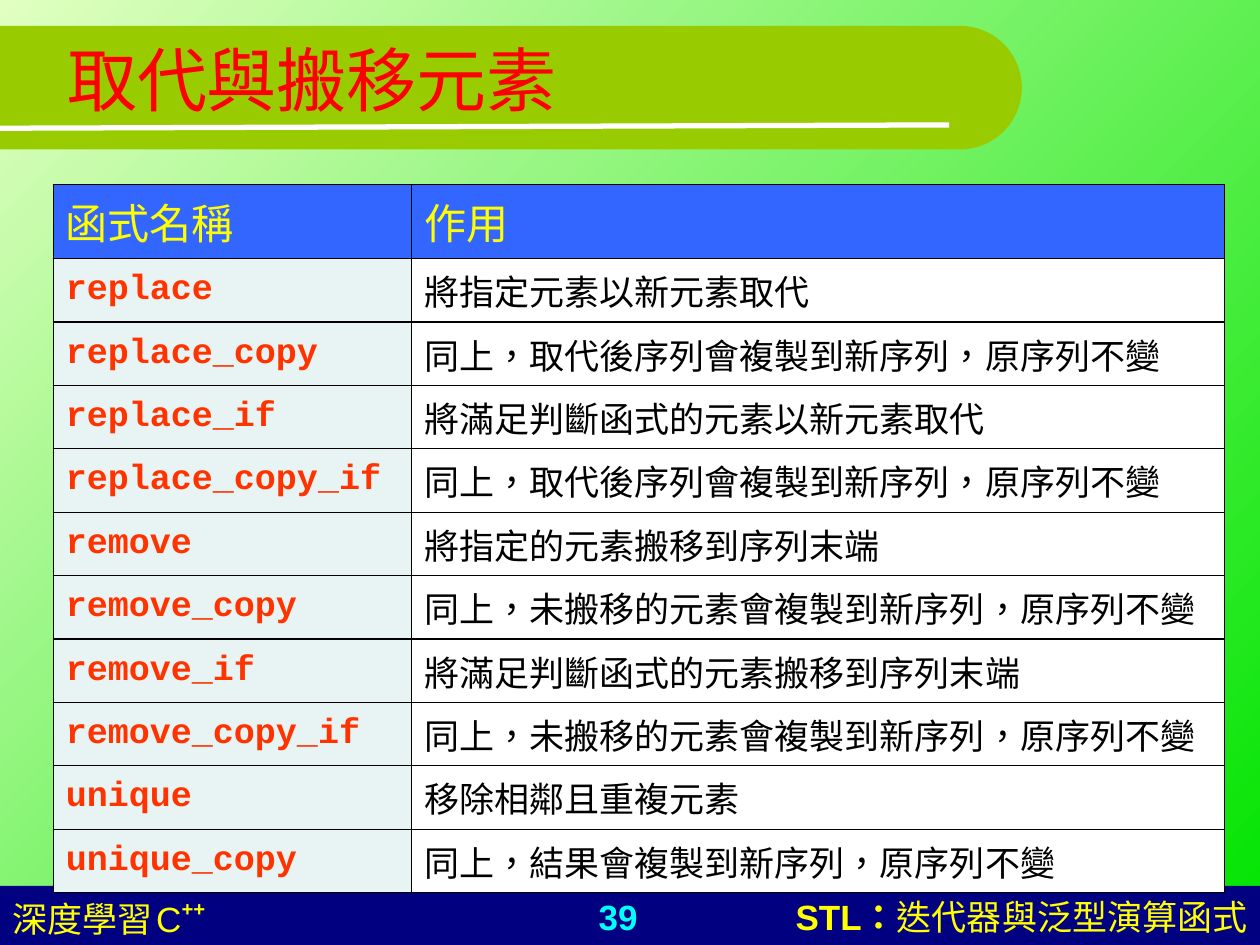
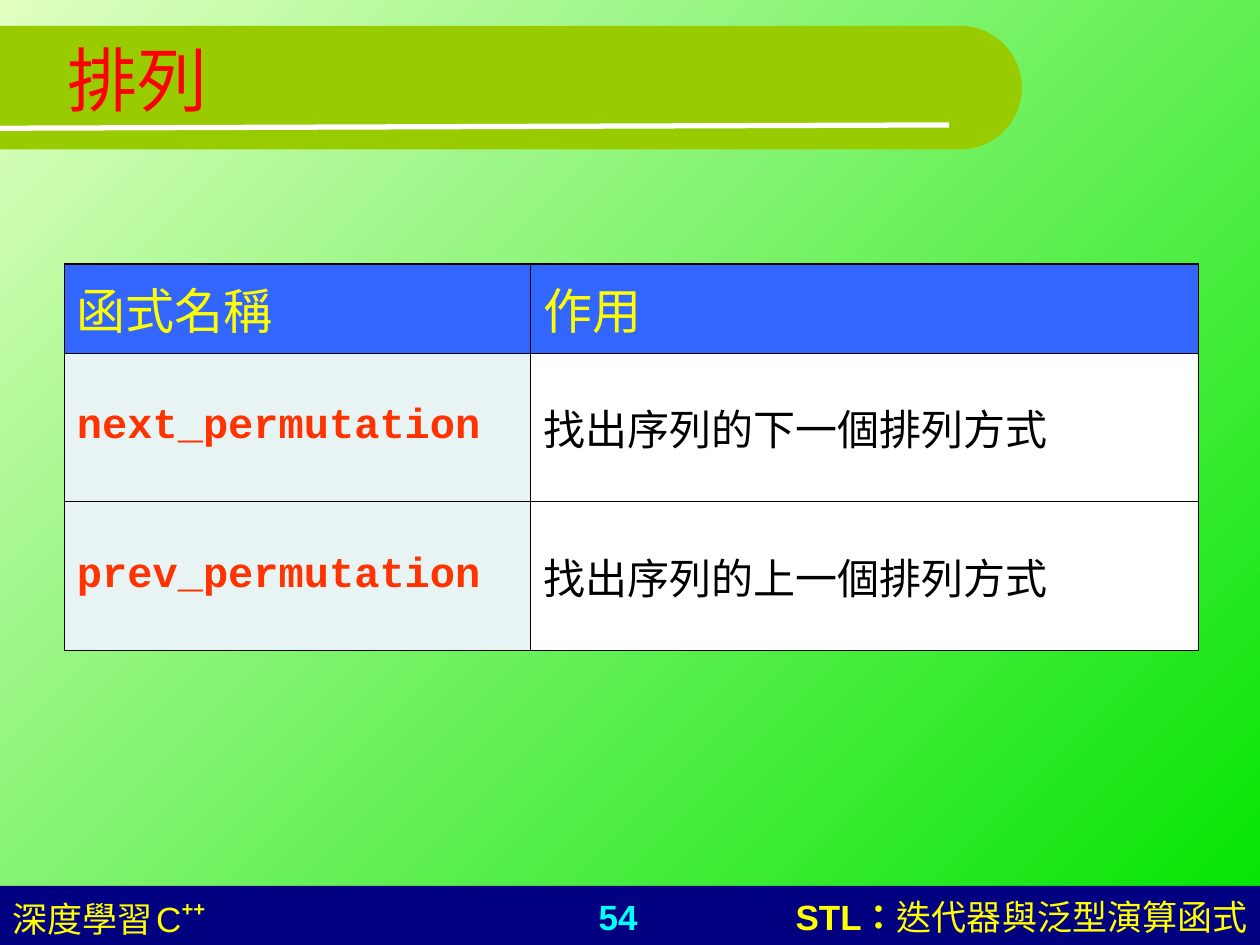
from math import cos, radians, sin

from lxml import etree
from pptx import Presentation
from pptx.dml.color import RGBColor
from pptx.enum.lang import MSO_LANGUAGE_ID
from pptx.enum.shapes import MSO_CONNECTOR, MSO_SHAPE
from pptx.enum.text import MSO_ANCHOR, PP_ALIGN
from pptx.oxml.ns import qn
from pptx.util import Pt

STRAIGHT = MSO_CONNECTOR.STRAIGHT
RECTANGLE = MSO_SHAPE.RECTANGLE
TOP, MIDDLE = MSO_ANCHOR.TOP, MSO_ANCHOR.MIDDLE
LEFT, CENTER, RIGHT = PP_ALIGN.LEFT, PP_ALIGN.CENTER, PP_ALIGN.RIGHT
CHINESE = MSO_LANGUAGE_ID.TRADITIONAL_CHINESE

PALE_GREEN = RGBColor(0xE0, 0xFF, 0xC1)
GREEN = RGBColor(0x00, 0xE4, 0x00)
OLIVE = RGBColor(0x99, 0xCC, 0x00)
NAVY = RGBColor(0x00, 0x00, 0x80)
BLUE = RGBColor(0x33, 0x66, 0xFF)
ICE = RGBColor(0xE8, 0xF4, 0xF4)
WHITE = RGBColor(0xFF, 0xFF, 0xFF)
BLACK = RGBColor(0x00, 0x00, 0x00)
RED = RGBColor(0xFF, 0x00, 0x00)
ORANGE = RGBColor(0xFF, 0x33, 0x00)
YELLOW = RGBColor(0xFF, 0xFF, 0x00)
CYAN = RGBColor(0x00, 0xFF, 0xFF)

TEXT_FONT = "Arial"
CODE_FONT = "Courier New"
PAGE_WIDTH, PAGE_HEIGHT = 720, 540
FOOTER_TOP = 506.2
FOOTER_TEXT_TOP, FOOTER_TEXT_HEIGHT = 508.4, 31.6

HEADINGS = ("函式名稱", "作用")
REPLACE_AND_MOVE = [
    ("replace", "將指定元素以新元素取代"),
    ("replace_copy", "同上，取代後序列會複製到新序列，原序列不變"),
    ("replace_if", "將滿足判斷函式的元素以新元素取代"),
    ("replace_copy_if", "同上，取代後序列會複製到新序列，原序列不變"),
    ("remove", "將指定的元素搬移到序列末端"),
    ("remove_copy", "同上，未搬移的元素會複製到新序列，原序列不變"),
    ("remove_if", "將滿足判斷函式的元素搬移到序列末端"),
    ("remove_copy_if", "同上，未搬移的元素會複製到新序列，原序列不變"),
    ("unique", "移除相鄰且重複元素"),
    ("unique_copy", "同上，結果會複製到新序列，原序列不變"),
]
PERMUTATIONS = [
    ("next_permutation", "找出序列的下一個排列方式"),
    ("prev_permutation", "找出序列的上一個排列方式"),
]


def format_span(span, size, color, bold=False, font=TEXT_FONT):
    span.font.name = font
    span.font.size = Pt(size)
    span.font.bold = bold
    span.font.color.rgb = color
    span.font.language_id = CHINESE


def add_text(page, left, top, width, height, spans, align=LEFT, anchor=TOP):
    box = page.shapes.add_textbox(Pt(left), Pt(top), Pt(width), Pt(height))
    frame = box.text_frame
    frame.word_wrap = True
    frame.vertical_anchor = anchor
    para = frame.paragraphs[0]
    para.alignment = align
    for words, size, color, bold in spans:
        span = para.add_run()
        span.text = words
        format_span(span, size, color, bold)
    return para


def paint(shape, color):
    shape.shadow.inherit = False
    shape.fill.solid()
    shape.fill.fore_color.rgb = color
    shape.line.fill.background()


def add_background(page):
    fill = page.background.fill
    fill.gradient()
    fill.gradient_angle = 315
    for stop, color in zip(fill.gradient_stops, (PALE_GREEN, GREEN)):
        stop.color.rgb = color


def add_title_band(page, title):
    top, radius, center_x = 14.8, 35.3, 548.6
    center_y = top + radius
    outline = page.shapes.build_freeform(Pt(0), Pt(top))
    arc = [
        (Pt(center_x + radius * cos(radians(angle))), Pt(center_y + radius * sin(radians(angle))))
        for angle in range(-90, 91, 3)
    ]
    outline.add_line_segments(arc + [(Pt(0), Pt(top + 2 * radius))], close=True)
    paint(outline.convert_to_shape(), OLIVE)

    underline = page.shapes.add_connector(STRAIGHT, Pt(0), Pt(73.3), Pt(542.4), Pt(71.4))
    underline.line.color.rgb = WHITE
    underline.line.width = Pt(3)
    etree.SubElement(underline._element.spPr, qn("a:effectLst"))

    add_text(page, 31.3, 0, 648, 90, [(title, 40, RED, False)], anchor=MIDDLE)


def add_footer(page, number):
    band = page.shapes.add_shape(
        RECTANGLE, Pt(0), Pt(FOOTER_TOP), Pt(PAGE_WIDTH), Pt(PAGE_HEIGHT - FOOTER_TOP)
    )
    paint(band, NAVY)

    def footer_text(left, width, spans, align):
        return add_text(page, left, FOOTER_TEXT_TOP, width, FOOTER_TEXT_HEIGHT, spans, align)

    footer_text(269.3, 167.8, [(number, 20, CYAN, True)], CENTER)
    chapter = [("STL：", 20, YELLOW, True), ("迭代器與泛型演算函式", 20, YELLOW, False)]
    footer_text(405.4, 314.6, chapter, RIGHT)
    course = [
        ("深度學習", 20, YELLOW, False),
        (" ", 9, YELLOW, False),
        ("C", 20, YELLOW, False),
        ("++", 20, YELLOW, True),
    ]
    para = footer_text(0, 241.2, course, LEFT)
    para.runs[-1].font._element.set("baseline", "46000")


def add_borders(cell):
    properties = cell._tc.get_or_add_tcPr()
    for position, side in enumerate(("lnL", "lnR", "lnT", "lnB")):
        border = etree.Element(qn(f"a:{side}"), w=str(Pt(0.75)))
        fill = etree.SubElement(border, qn("a:solidFill"))
        etree.SubElement(fill, qn("a:srgbClr"), val=str(BLACK))
        properties.insert(position, border)


def fill_cell(cell, words, background, size, color, bold):
    cell.text_frame.text = words
    cell.vertical_anchor = MIDDLE
    cell.fill.solid()
    cell.fill.fore_color.rgb = background
    add_borders(cell)
    format_span(cell.text_frame.paragraphs[0].runs[0], size, color, bold, CODE_FONT)


def add_function_table(page, left, top, widths, header_height, row_height, functions, size):
    height = header_height + row_height * len(functions)
    table = page.shapes.add_table(
        len(functions) + 1, len(widths), Pt(left), Pt(top), Pt(sum(widths)), Pt(height)
    ).table
    table.first_row = False
    table.horz_banding = False
    for column, width in zip(table.columns, widths):
        column.width = Pt(width)
    for index, row in enumerate(table.rows):
        row.height = Pt(row_height if index else header_height)

    for index, heading in enumerate(HEADINGS):
        fill_cell(table.cell(0, index), heading, BLUE, size + 4, YELLOW, False)
    for index, (name, effect) in enumerate(functions, 1):
        fill_cell(table.cell(index, 0), name, ICE, size, ORANGE, True)
        fill_cell(table.cell(index, 1), effect, WHITE, size, BLACK, False)


def add_page(deck, title, number):
    page = deck.slides.add_slide(deck.slide_layouts[6])
    add_background(page)
    add_title_band(page, title)
    add_footer(page, number)
    return page


def main():
    deck = Presentation()
    deck.slide_width, deck.slide_height = Pt(PAGE_WIDTH), Pt(PAGE_HEIGHT)

    page = add_page(deck, "取代與搬移元素", "39")
    add_function_table(page, 30.4, 105.5, (204.8, 464.7), 42.3, 36.24, REPLACE_AND_MOVE, 20)

    page = add_page(deck, "排列", "54")
    add_function_table(page, 36.8, 150.9, (266.4, 381.6), 51, 84.9, PERMUTATIONS, 24)

    deck.save("out.pptx")


if __name__ == "__main__":
    main()
